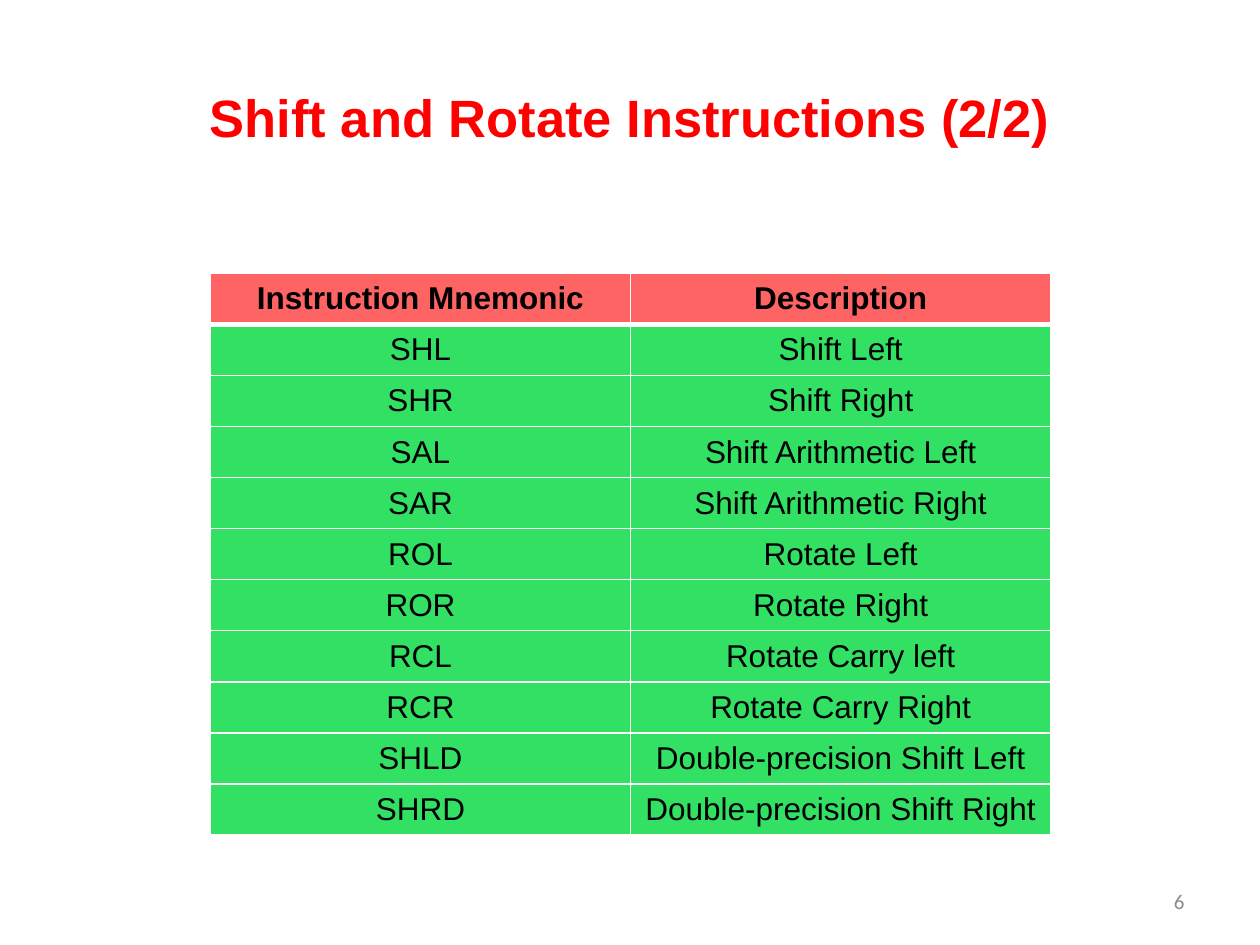
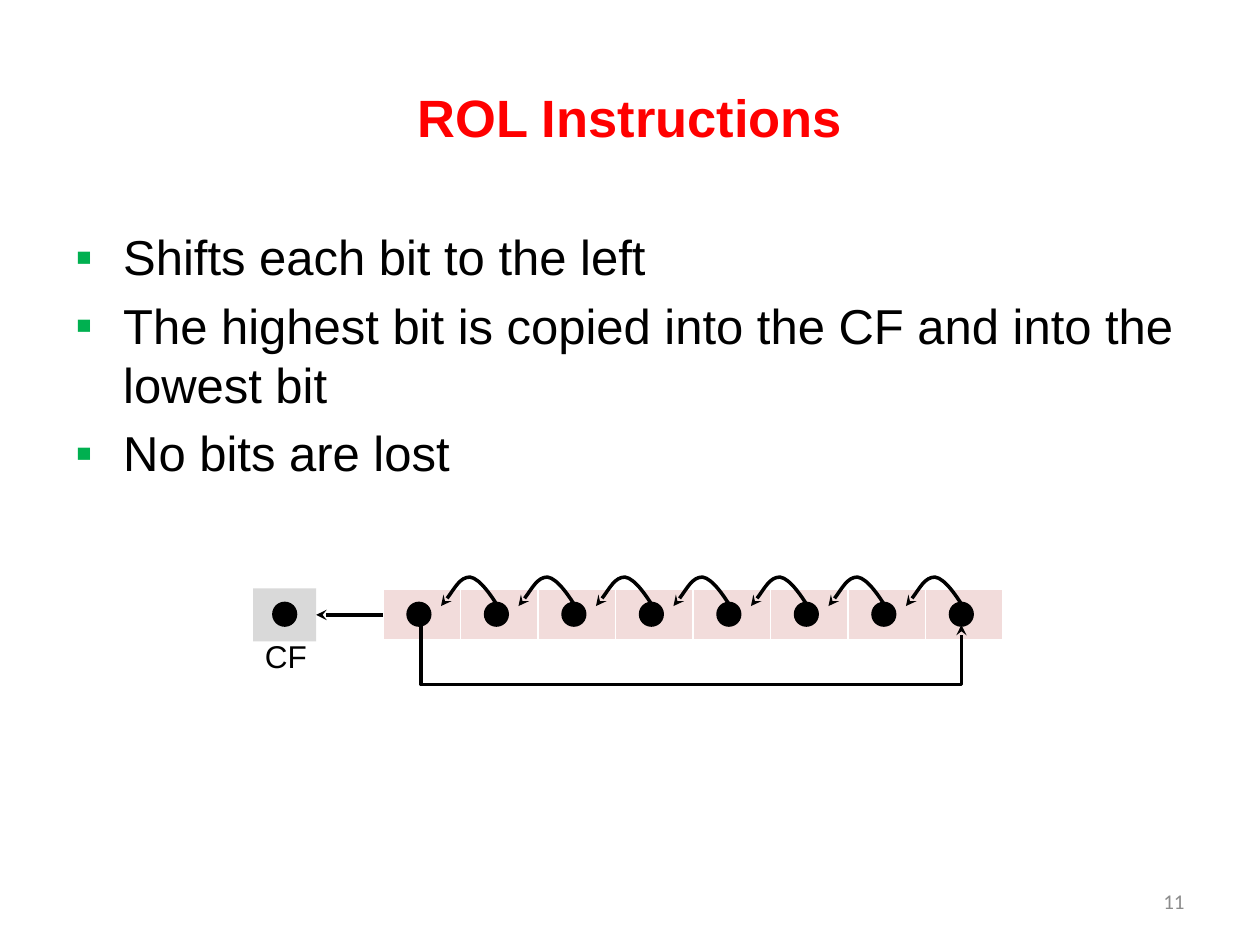
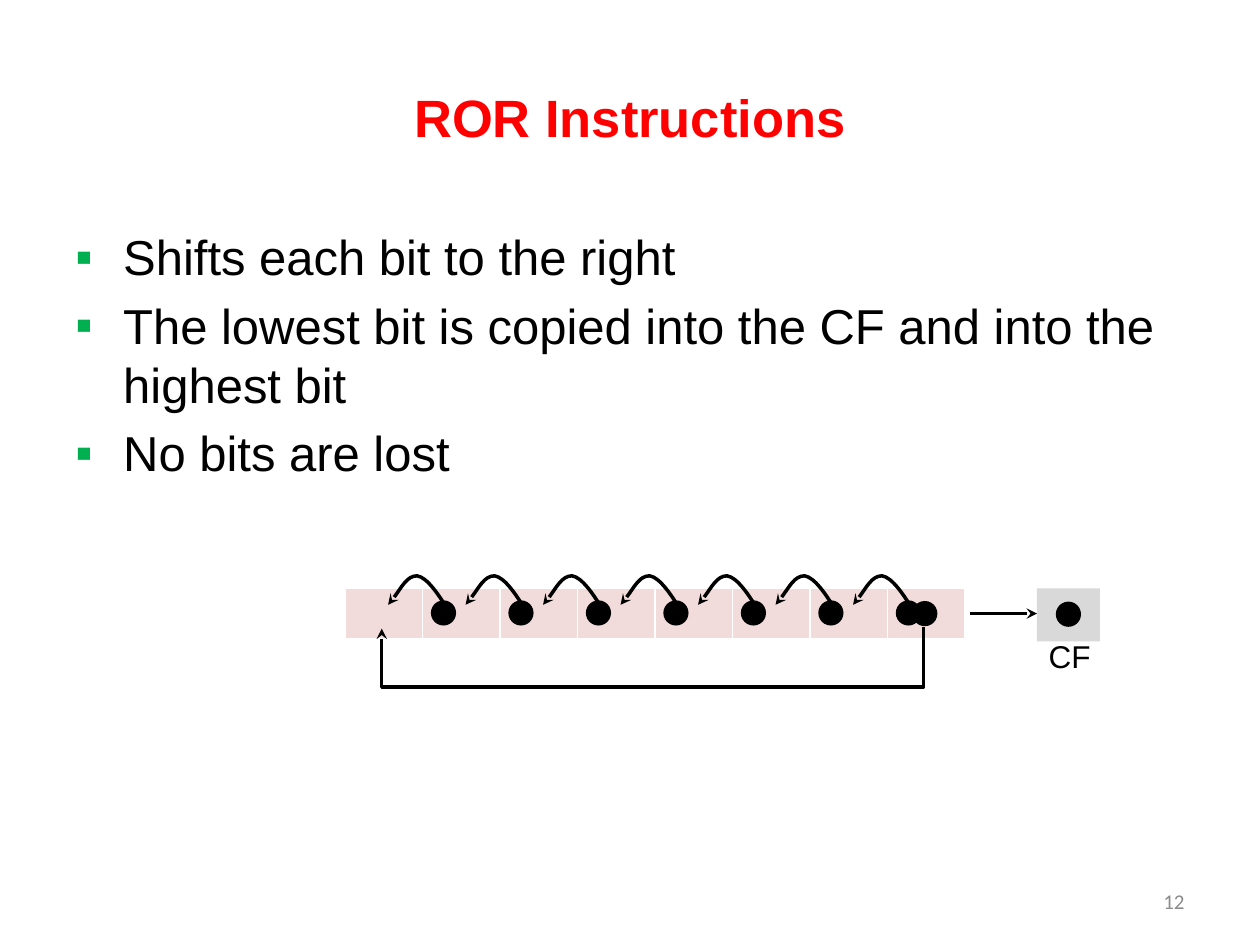
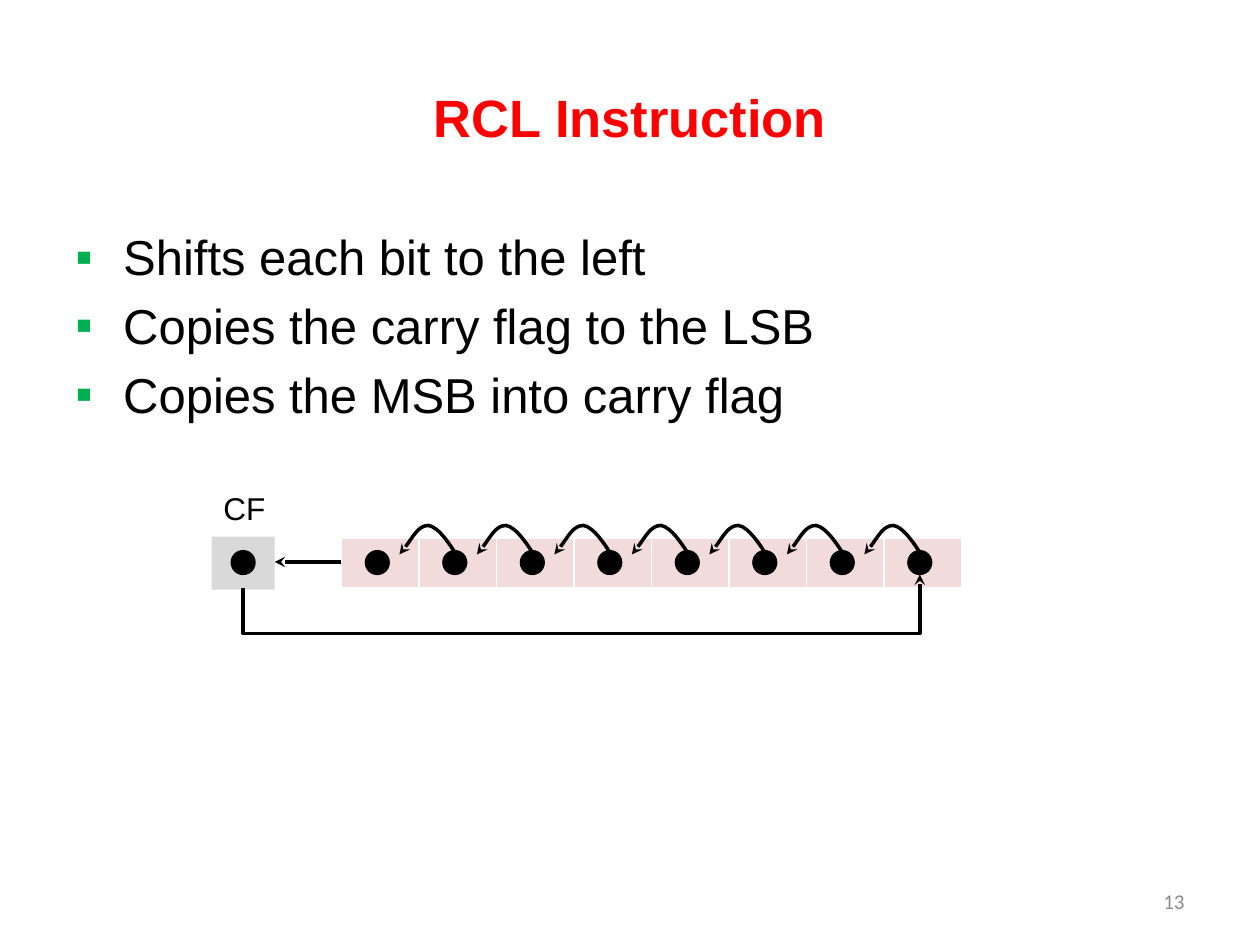
from lxml.etree import SubElement
from pptx import Presentation
from pptx.dml.color import RGBColor
from pptx.enum.shapes import MSO_CONNECTOR as Link, MSO_SHAPE as Preset
from pptx.enum.text import MSO_ANCHOR as Anchor, PP_ALIGN as Align
from pptx.oxml.ns import qn
from pptx.util import Inches, Pt

COLORS = {
    "title": "FF0000", "text": "000000", "number": "8C8C8C", "bullet": "00B050",
    "header": "FF6464", "row": "32E164", "bit": "F2DCDB", "carry": "D9D9D9",
    "line": "000000", "border": "FFFFFF",
}

deck = Presentation()
deck.slide_width, deck.slide_height = Inches(10), Inches(7.5)
COLUMN = deck.slide_width / 10      # square grid: 10 columns by 7.5 rows

BITS = 8
BIT_WIDTH = 4.92 / BITS
BIT_HEIGHT = 0.41
DOT = 0.2
CARRY_WIDTH, CARRY_HEIGHT = 0.5, 0.42
# Hop from a bit to its neighbour: start, then two curves of three points,
# measured from the right end of the hop and the top of the register
HOP = [(0, 0.18), (-0.07, 0.06), (-0.17, -0.09), (-0.25, -0.1),
       (-0.33, -0.1), (-0.4, 0.04), (-0.48, 0.13)]


def grid(*lengths):
    return [round(length * COLUMN) for length in lengths]


def color(name):
    return RGBColor.from_string(COLORS[name])


def write(frame, lines, size=18, ink="text", font="Arial", bold=False,
          align=Align.LEFT, anchor=Anchor.TOP, wrap=True, bullet=None):
    """Fill a text frame or a cell's frame, one paragraph for each line."""
    frame.word_wrap = wrap
    frame.vertical_anchor = anchor
    for index, line in enumerate(lines):
        para = frame.paragraphs[0] if index == 0 else frame.add_paragraph()
        para.alignment = align
        span = para.add_run()
        span.text = line
        span.font.name, span.font.size, span.font.bold = font, Pt(size), bold
        span.font.color.rgb = color(ink)
        if bullet:
            para.space_before = Pt(size * 0.2)
            props = para._p.get_or_add_pPr()
            props.set("marL", str(Inches(0.38)))
            props.set("indent", str(-Inches(0.38)))
            tint = SubElement(props, qn("a:buClr"))
            SubElement(tint, qn("a:srgbClr"), val=COLORS["bullet"])
            SubElement(props, qn("a:buFont"), typeface="Arial")
            SubElement(props, qn("a:buChar"), char=bullet)


def add_text(page, box, lines, **style):
    shape = page.shapes.add_textbox(*grid(*box))
    write(shape.text_frame, lines, **style)


def add_page(title, number):
    """Title and page number, the same on every slide."""
    page = deck.slides.add_slide(deck.slide_layouts[5])
    heading = page.shapes.title
    heading.left, heading.top, heading.width, heading.height = grid(0.5, 0.3, 9, 1.25)
    write(heading.text_frame, [title], size=30, ink="title", bold=True,
          align=Align.CENTER, anchor=Anchor.MIDDLE)
    add_text(page, (7.17, 6.95, 2.33, 0.4), [str(number)], size=12, ink="number",
             font="Calibri", align=Align.RIGHT, anchor=Anchor.MIDDLE)
    return page


def add_shape(shapes, preset, box, fill):
    shape = shapes.add_shape(preset, *grid(*box))
    shape.shadow.inherit = False
    shape.fill.solid()
    shape.fill.fore_color.rgb = color(fill)
    shape.line.fill.background()


def add_dot(shapes, left, top):
    add_shape(shapes, Preset.OVAL, (left, top, DOT, DOT), "line")


def style_line(shape, arrow="tailEnd"):
    shape.line.width = Pt(2)
    shape.line.color.rgb = color("line")
    SubElement(shape.line._get_or_add_ln(), qn("a:" + arrow), type="stealth")
    SubElement(shape._element.spPr, qn("a:effectLst"))


def style_cell(cell, fill, bottom=1):
    props = cell._tc.get_or_add_tcPr()
    for side, width in (("lnL", 1), ("lnR", 1), ("lnT", 1), ("lnB", bottom)):
        edge = SubElement(props, qn("a:" + side), w=str(Pt(width)))
        paint = SubElement(edge, qn("a:solidFill"))
        SubElement(paint, qn("a:srgbClr"), val=COLORS["border"])
    cell.fill.solid()
    cell.fill.fore_color.rgb = color(fill)


def add_grid_table(page, rows, columns, box):
    table = page.shapes.add_table(rows, columns, *grid(*box)).table
    table.first_row = table.horz_banding = False
    return table


def add_instruction_table(page, box, rows):
    table = add_grid_table(page, len(rows), len(rows[0]), box)
    for r, row in enumerate(rows):
        head = r == 0
        for c, label in enumerate(row):
            cell = table.cell(r, c)
            style_cell(cell, "header" if head else "row", bottom=3 if head else 1)
            write(cell.text_frame, [label], bold=head, align=Align.CENTER)
            cell.vertical_anchor = Anchor.MIDDLE


def add_hop(shapes, right, top):
    """Curved arrow to the next bit on the left."""
    points = [grid(right + x, top + y) for x, y in HOP]
    builder = shapes.build_freeform(*points[0])
    builder.add_line_segments(points[1:], close=False)
    curve = builder.convert_to_shape()
    curve.fill.background()
    style_line(curve)
    # Join each three straight steps into one Bezier curve
    steps = list(curve._element.iter(qn("a:lnTo")))
    outline = steps[0].getparent()
    for first in range(0, len(steps), 3):
        bend = SubElement(outline, qn("a:cubicBezTo"))
        for step in steps[first:first + 3]:
            bend.append(step[0])
            outline.remove(step)


def add_register(page, left, top, inset=0.185, first_dot=True):
    """Row of bits; each but the first hops to the left."""
    table = add_grid_table(page, 1, BITS, (left, top, BITS * BIT_WIDTH, BIT_HEIGHT))
    for cell in table.iter_cells():
        style_cell(cell, "bit", bottom=3)
    for bit in reversed(range(1, BITS)):
        dot_left = left + bit * BIT_WIDTH + inset
        group = page.shapes.add_group_shape()
        add_hop(group.shapes, dot_left + 0.14, top)
        add_dot(group.shapes, dot_left, top + 0.095)
    if first_dot:
        add_dot(page.shapes, left + inset, top + 0.095)


def add_carry(shapes_owner, left, top, label_shift=0.34):
    """Carry flag box, with its label below or above."""
    add_text(shapes_owner, (left - 0.01, top + label_shift, 0.54, 0.4), ["CF"],
             align=Align.CENTER, wrap=False)
    shapes = shapes_owner.shapes
    add_shape(shapes, Preset.RECTANGLE, (left, top, CARRY_WIDTH, CARRY_HEIGHT), "carry")
    add_dot(shapes, left + 0.15, top + 0.105)


def add_arrow(page, start, end, y):
    arrow = page.shapes.add_connector(Link.STRAIGHT, *grid(start, y, end, y))
    style_line(arrow)


def add_loop(page, left, right, y, depth, rise=0.01, arrow="tailEnd"):
    """Elbow that drops at left, runs below the bits and climbs at right."""
    middle_x, middle_y = (left + right) / 2, y - rise / 2
    half = (right - left) / 2
    # Drawn upright from its lower right corner, then turned a quarter
    loop = page.shapes.add_connector(Link.ELBOW, *grid(
        middle_x + rise / 2, middle_y + half, middle_x - rise / 2, middle_y - half))
    props = loop._element.spPr
    props.find(qn("a:xfrm")).set("rot", "5400000")
    guides = props.find(qn("a:prstGeom")).find(qn("a:avLst"))
    SubElement(guides, qn("a:gd"), name="adj1",
               fmla=f"val {round(-depth / rise * 100000)}")
    style_line(loop, arrow)


def add_bullet_page(title, number, lines):
    page = add_page(title, number)
    add_text(page, (0.5, 1.75, 9, 4.95), lines, size=28, bullet="▪")
    return page


# Table of instructions
page = add_page("Shift and Rotate Instructions (2/2)", 6)
add_instruction_table(page, (1.67, 2.17, 6.67, 4.46), [
    ("Instruction Mnemonic", "Description"),
    ("SHL", "Shift Left"),
    ("SHR", "Shift Right"),
    ("SAL", "Shift Arithmetic Left"),
    ("SAR", "Shift Arithmetic Right"),
    ("ROL", "Rotate Left"),
    ("ROR", "Rotate Right"),
    ("RCL", "Rotate Carry left"),
    ("RCR", "Rotate Carry Right"),
    ("SHLD", "Double-precision Shift Left"),
    ("SHRD", "Double-precision Shift Right"),
])

# Rotate left
page = add_bullet_page("ROL Instructions", 11, [
    "Shifts each bit to the left",
    "The highest bit is copied into the CF and into the lowest bit",
    "No bits are lost"])
add_register(page, 3.04, 4.68)
add_carry(page, 2.01, 4.67)
add_arrow(page, 3.04, 2.51, 4.88)
add_loop(page, 3.34, 7.63, 4.97, depth=0.47)

# Rotate right
page = add_bullet_page("ROR Instructions", 12, [
    "Shifts each bit to the right",
    "The lowest bit is copied into the CF and into the highest bit",
    "No bits are lost"])
add_register(page, 2.74, 4.67, inset=0.065, first_dot=False)
add_carry(page, 8.23, 4.67)
add_arrow(page, 7.7, 8.23, 4.87)
add_dot(page.shapes, 7.24, 4.77)
add_loop(page, 3.03, 7.33, 4.99, depth=0.47, arrow="headEnd")

# Rotate left through carry
page = add_bullet_page("RCL Instruction", 13, [
    "Shifts each bit to the left",
    "Copies the carry flag to the LSB",
    "Copies the MSB into carry flag"])
add_register(page, 2.71, 4.27)
add_carry(page, 1.68, 4.26, label_shift=-0.43)
add_arrow(page, 2.71, 2.18, 4.46)
add_loop(page, 1.93, 7.3, 4.67, depth=0.36, rise=0.11)

deck.save("out.pptx")
